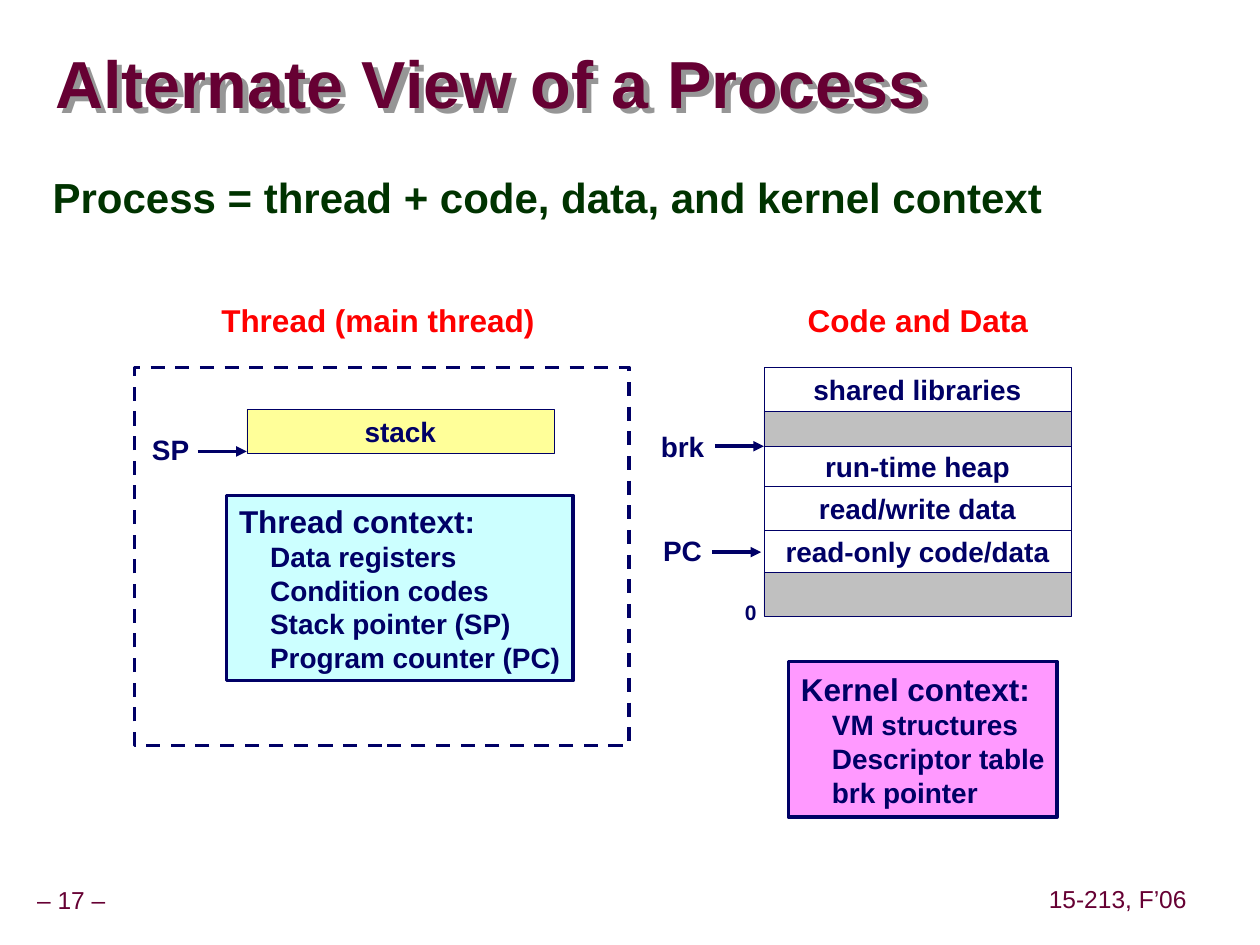
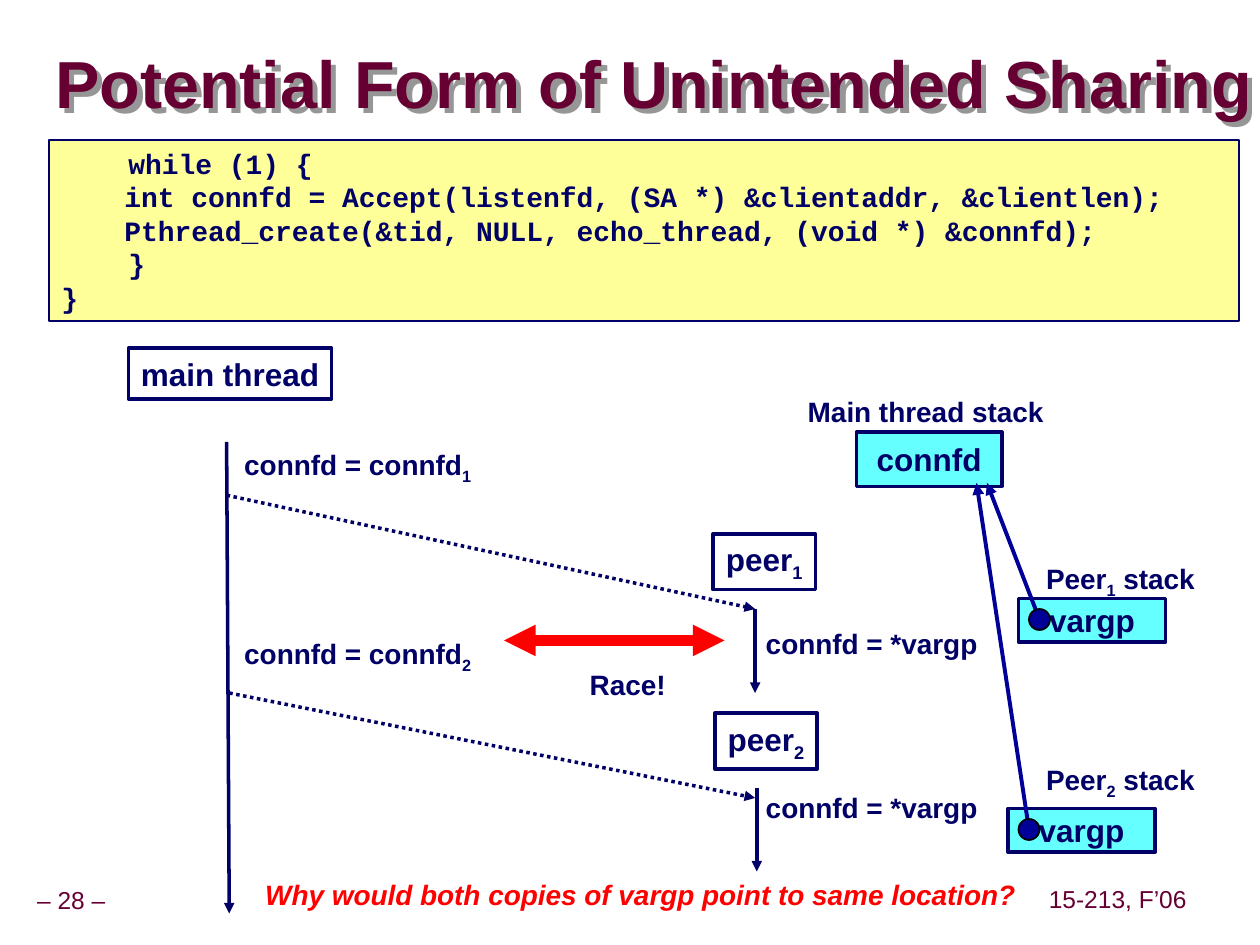
from dataclasses import dataclass
from lxml import etree
from pptx import Presentation
from pptx.dml.color import RGBColor
from pptx.enum import dml, shapes, text
from pptx.oxml.ns import qn
from pptx.util import Pt


@dataclass(frozen=True)
class Theme:
    face: str = "Arial"
    mono: str = "Courier New"
    navy: str = "000066"
    blue: str = "000099"
    wine: str = "660033"
    green: str = "003300"
    red: str = "FF0000"
    black: str = "000000"
    white: str = "FFFFFF"
    gray: str = "C0C0C0"
    shade: str = "969696"
    yellow: str = "FFFF99"
    ice: str = "CCFFFF"
    pink: str = "FF99FF"
    aqua: str = "66FFFF"
    title: int = 38
    lead: int = 24
    head: int = 18
    body: int = 16
    foot: int = 14
    tiny: int = 12
    hair: float = 0.25
    thin: float = 1
    bold: float = 2


T = Theme()
LEFT, MID = text.PP_ALIGN.LEFT, text.PP_ALIGN.CENTER
TOP, CENTER = text.MSO_ANCHOR.TOP, text.MSO_ANCHOR.MIDDLE
RECT, OVAL = shapes.MSO_SHAPE.RECTANGLE, shapes.MSO_SHAPE.OVAL
DASH, DOT = dml.MSO_LINE.DASH, dml.MSO_LINE.ROUND_DOT


def rgb(code):
    return RGBColor.from_string(code)


def write(shape, words, size=T.body, color=T.navy, face=T.face, bold=True,
          italic=False, align=MID, anchor=CENTER, pad=(7.2, 3.6),
          space=None, indent=0, first=None):
    frame = shape.text_frame
    frame.word_wrap = align == LEFT
    frame.auto_size = text.MSO_AUTO_SIZE.NONE
    frame.vertical_anchor = anchor
    frame.margin_left = Pt(pad[0])
    frame.margin_right = Pt(0 if align == LEFT else pad[0])
    frame.margin_top = frame.margin_bottom = Pt(pad[1])
    for row, line in enumerate(words.split("\n")):
        para = frame.add_paragraph() if row else frame.paragraphs[0]
        para.alignment = align
        if space:
            para.line_spacing = space
        if row and indent:
            para._p.get_or_add_pPr().set("marL", str(Pt(indent)))
        for part, piece in enumerate(line.split("~")):
            if not piece:
                continue
            run = para.add_run()
            run.text = piece
            font = run.font
            font.name, font.bold, font.italic = face, bold, italic
            font.size = Pt(first if first and not row else size)
            font.color.rgb = rgb(color)
            if part % 2:
                run._r.get_or_add_rPr().set("baseline", "-25000")


def label(slide, words, area, **style):
    write(slide.shapes.add_textbox(*map(Pt, area)), words, **style)


def box(slide, area, fill=None, words=None, kind=RECT, width=T.bold,
        color=T.navy, dash=None, **style):
    shape = slide.shapes.add_shape(kind, *map(Pt, area))
    shape.shadow.inherit = False
    if fill:
        shape.fill.solid()
        shape.fill.fore_color.rgb = rgb(fill)
    else:
        shape.fill.background()
    shape.line.color.rgb = rgb(color)
    shape.line.width = Pt(width)
    if dash:
        shape.line.dash_style = dash
    if words:
        write(shape, words, **style)


def arrow(slide, start, end, color=T.navy, width=T.bold, dash=None, both=False):
    line = slide.shapes.add_connector(
        shapes.MSO_CONNECTOR.STRAIGHT, *map(Pt, start + end))
    line.line.color.rgb = rgb(color)
    line.line.width = Pt(width)
    if dash:
        line.line.dash_style = dash
    props = line._element.spPr
    for tip in ("a:headEnd", "a:tailEnd") if both else ("a:tailEnd",):
        etree.SubElement(props.find(qn("a:ln")), qn(tip), type="triangle")
    etree.SubElement(props, qn("a:effectLst"))


def start(deck, words, number):
    slide = deck.slides.add_slide(deck.slide_layouts[5])
    title = slide.shapes.title
    title.left, title.top, title.width, title.height = map(Pt, (31.5, 19.5, 686.5, 61))
    title.fill.background()
    write(title, words, size=T.title, color=T.wine, align=LEFT, pad=(0, 0), space=0.87)
    glow = etree.SubElement(title._element.spPr, qn("a:effectLst"))
    cast = etree.SubElement(glow, qn("a:outerShdw"), dist=str(Pt(4.5)),
                            dir="2700000", algn="ctr", rotWithShape="0")
    etree.SubElement(cast, qn("a:srgbClr"), val=T.shade)
    foot = dict(size=T.foot, color=T.wine, bold=False, pad=(3.6, 3.6), space=0.9)
    label(slide, f"– {number} –", (0, 504, 81.5, 22.5), **foot)
    label(slide, "15-213, F’06", (595.5, 503.5, 86.5, 22.5), **foot)
    return slide


def view(deck):
    slide = start(deck, "Alternate View of a Process", 17)
    label(slide, "Process = thread + code, data, and kernel context",
          (23, 96.5, 654.5, 40), size=T.lead, color=T.green, align=LEFT,
          anchor=TOP, space=0.95)
    label(slide, "Thread (main thread)", (119.5, 168, 193, 29), size=T.head, color=T.red)
    label(slide, "Code and Data", (452, 168, 145, 29), size=T.head, color=T.red)

    top = 210
    for words, high in (("shared libraries", 25), (None, 20), ("run-time heap", 23),
                        ("read/write data", 25), ("read-only code/data", 24), (None, 25)):
        box(slide, (436.5, top, 175.5, high), T.white if words else T.gray,
            words, width=T.hair)
        top += high
    label(slide, "0", (418.5, 339, 21, 21.5), size=T.tiny, align=LEFT, anchor=TOP)

    box(slide, (141, 234, 175.5, 25), T.yellow, "stack", width=T.hair)
    lists = dict(align=LEFT, first=T.head, indent=17.8)
    box(slide, (129.5, 283, 198, 106), T.ice,
        "Thread context:\nData registers\nCondition codes\n"
        "Stack pointer (SP)\nProgram counter (PC)", **lists)
    box(slide, (450.5, 378, 153.5, 89), T.pink,
        "Kernel context:\nVM structures\nDescriptor table\nbrk pointer", **lists)
    box(slide, (77, 210, 282.5, 216), dash=DASH)

    for words, left, top, tip, level in (("SP", 78.5, 243.5, 141, 258),
                                         ("PC", 371, 301, 435, 315.5),
                                         ("brk", 371, 242, 436.5, 255)):
        label(slide, words, (left, top, 38, 26.5))
        arrow(slide, (tip - 28, level), (tip, level))


def race(deck):
    slide = start(deck, "Potential Form of Unintended Sharing", 28)
    code = """    while (1) {
\tint connfd = Accept(listenfd, (SA *) &clientaddr, &clientlen);
\tPthread_create(&tid, NULL, echo_thread, (void *) &connfd);
    }
}"""
    box(slide, (28, 80, 680, 103.5), T.yellow, code, width=T.thin,
        face=T.mono, align=LEFT, anchor=TOP)
    box(slide, (73.5, 199, 116, 29), words="main thread", size=T.head)
    arrow(slide, (129.5, 252.5), (131, 522))
    label(slide, "Main thread stack", (454.5, 222, 149, 26.5), anchor=TOP)
    box(slide, (489.5, 247, 83, 31), T.aqua, "connfd", size=T.head)

    peers = (
        dict(box=(407.5, 305), life=(431.5, 348), fork=(129.5, 283), hit=348,
             note=252, read=354.5, name=317.5, stack=(582, 342), tip=564),
        dict(box=(408.5, 407.5), life=(432.5, 450), fork=(131, 396), hit=456,
             note=360, read=448, name=432, stack=(576, 462), tip=558),
    )
    for num, peer in enumerate(peers, 1):
        box(slide, peer["box"] + (58.5, 32), words=f"peer~{num}~", size=T.head)
        left, top = peer["life"]
        arrow(slide, (left, top), (left, top + 48))
        arrow(slide, peer["fork"], (431.5, peer["hit"]), dash=DOT)
        label(slide, f"connfd = connfd~{num}~", (132.5, peer["note"], 144, 29.5),
              align=LEFT, anchor=TOP)
        label(slide, "connfd = *vargp", (430.5, peer["read"], 135.5, 26.5),
              align=LEFT, anchor=TOP)
        label(slide, f"Peer~{num}~ stack", (590.5, peer["name"], 99.5, 29.5), anchor=TOP)
        left, top = peer["stack"]
        box(slide, (left, top, 84, 25), T.aqua, "vargp", size=T.head)
        arrow(slide, (left + 12, top + 12), (peer["tip"], 276), T.blue, 2.25)
        box(slide, (left + 6, top + 6, 12, 12), T.blue, kind=OVAL,
            width=T.thin, color=T.black)

    arrow(slide, (288, 366), (414, 366), T.red, 6, both=True)
    label(slide, "Race!", (330, 378, 57.5, 26.5), anchor=TOP)
    label(slide, "Why would both copies of vargp point to same location?",
          (144.5, 498, 443.5, 26.5), color=T.red, italic=True, align=LEFT, anchor=TOP)


def main():
    deck = Presentation()
    deck.slide_width, deck.slide_height = Pt(720), Pt(540)
    view(deck)
    race(deck)
    deck.save("out.pptx")


if __name__ == "__main__":
    main()
